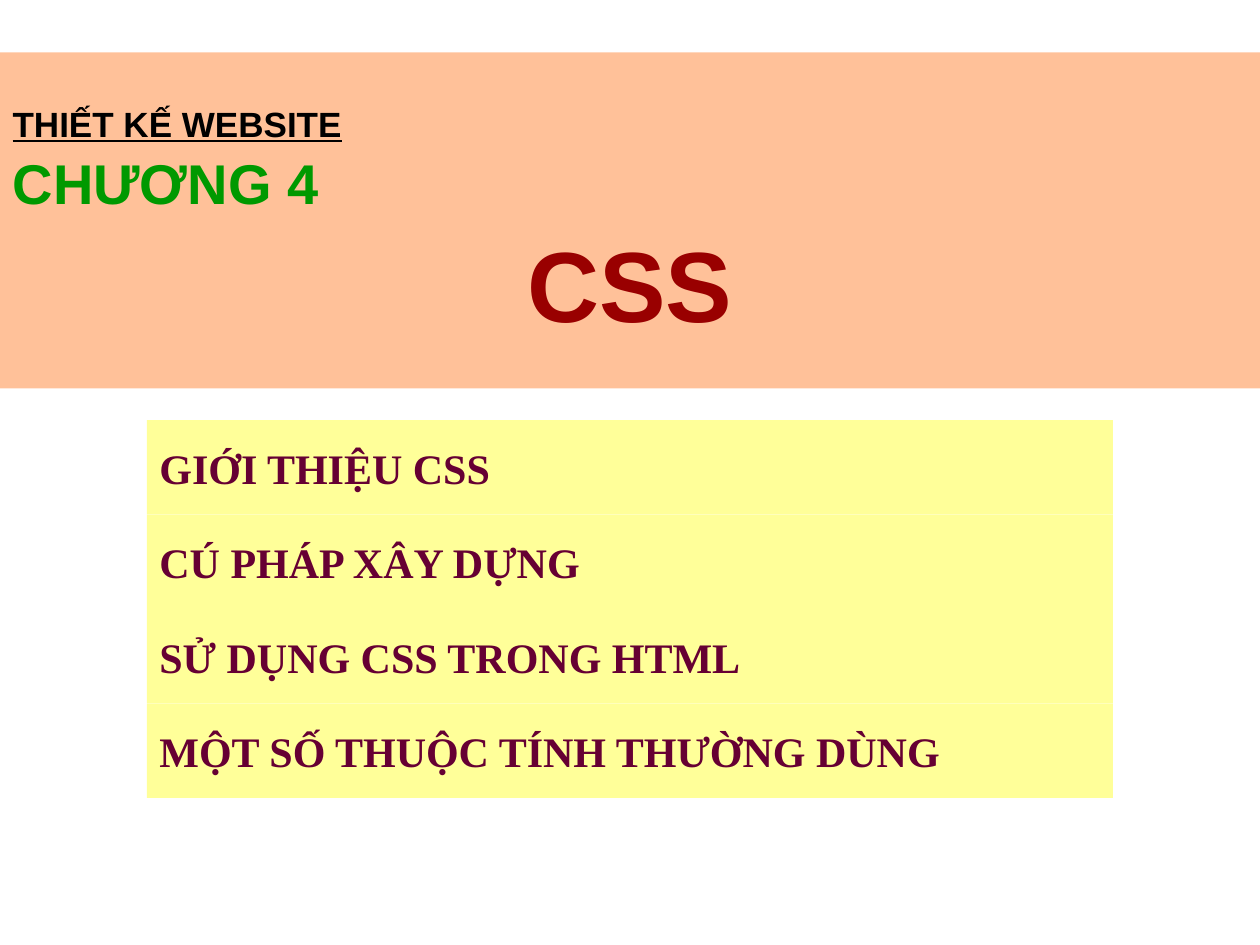
import pptx
import pptx.util
from lxml import etree
from pptx.dml.color import RGBColor
from pptx.enum.shapes import MSO_SHAPE
from pptx.enum.text import MSO_ANCHOR, MSO_AUTO_SIZE, PP_ALIGN
from pptx.oxml.ns import qn
from pptx.util import Pt

BLACK = RGBColor(0x00, 0x00, 0x00)
GREEN = RGBColor(0x00, 0x99, 0x00)
RED = RGBColor(0x99, 0x00, 0x00)
PLUM = RGBColor(0x66, 0x00, 0x33)
ORANGE = RGBColor(0xFF, 0x66, 0x00)
YELLOW = RGBColor(0xFF, 0xFF, 0x00)

# text, size, colour, underlined, alignment
TITLE_LINES = [
    ("THIẾT KẾ WEBSITE", 20, BLACK, True, PP_ALIGN.LEFT),
    ("CHƯƠNG 4", 32, GREEN, False, PP_ALIGN.LEFT),
    ("CSS", 57, RED, False, PP_ALIGN.CENTER),
]
TOPICS = [
    "GIỚI THIỆU CSS",
    "CÚ PHÁP XÂY DỰNG",
    "SỬ DỤNG CSS TRONG HTML",
    "MỘT SỐ THUỘC TÍNH THƯỜNG DÙNG",
]

SLIDE_WIDTH, SLIDE_HEIGHT = 720, 540
BAND_TOP, BAND_HEIGHT = 30, 192
TITLE_TOP, TITLE_HEIGHT = 53.3, 138.2
TOPIC_TOP, TOPIC_WIDTH, TOPIC_HEIGHT = 240, 552, 54
TOPIC_LEFT = (SLIDE_WIDTH - TOPIC_WIDTH) / 2
OPACITY = 40


def add_tinted_rectangle(slide, left, top, width, height, colour):
    """Add a borderless rectangle with a translucent fill."""
    shape = slide.shapes.add_shape(
        MSO_SHAPE.RECTANGLE, Pt(left), Pt(top), Pt(width), Pt(height))
    shape.shadow.inherit = False
    shape.line.fill.background()
    shape.fill.solid()
    shape.fill.fore_color.rgb = colour
    colour_element = shape.fill._xPr.find(qn("a:solidFill"))[0]
    etree.SubElement(colour_element, qn("a:alpha"), val=str(OPACITY * 1000))
    return shape


def add_bold_run(paragraph, text, font_name, size, colour):
    run = paragraph.add_run()
    run.text = text
    run.font.name = font_name
    run.font.size = Pt(size)
    run.font.bold = True
    run.font.color.rgb = colour
    return run


def fill_title(title):
    title.left, title.top = Pt(0), Pt(TITLE_TOP)
    title.width, title.height = Pt(SLIDE_WIDTH), Pt(TITLE_HEIGHT)
    frame = title.text_frame
    frame.word_wrap = True
    frame.auto_size = MSO_AUTO_SIZE.NONE
    frame.vertical_anchor = MSO_ANCHOR.TOP
    for index, (text, size, colour, underlined, alignment) in enumerate(TITLE_LINES):
        paragraph = frame.add_paragraph() if index else frame.paragraphs[0]
        paragraph.alignment = alignment
        paragraph.line_spacing = 1.06
        run = add_bold_run(paragraph, text, "Arial", size, colour)
        run.font.underline = underlined


def add_topic(slide, index, text):
    box = add_tinted_rectangle(
        slide, TOPIC_LEFT, TOPIC_TOP + index * TOPIC_HEIGHT,
        TOPIC_WIDTH, TOPIC_HEIGHT, YELLOW)
    box.text_frame.word_wrap = True
    box.text_frame.vertical_anchor = MSO_ANCHOR.MIDDLE
    paragraph = box.text_frame.paragraphs[0]
    paragraph.alignment = PP_ALIGN.LEFT
    add_bold_run(paragraph, text, "Times New Roman", 24, PLUM)


def main():
    presentation = pptx.Presentation()
    presentation.slide_width = Pt(SLIDE_WIDTH)
    presentation.slide_height = Pt(SLIDE_HEIGHT)
    slide = presentation.slides.add_slide(presentation.slide_layouts[5])

    band = add_tinted_rectangle(
        slide, 0, BAND_TOP, SLIDE_WIDTH, BAND_HEIGHT, ORANGE)
    title = slide.shapes.title
    title._element.addprevious(band._element)  # the band lies behind the title
    fill_title(title)

    for index, text in enumerate(TOPICS):
        add_topic(slide, index, text)

    presentation.save("out.pptx")


if __name__ == "__main__":
    main()
